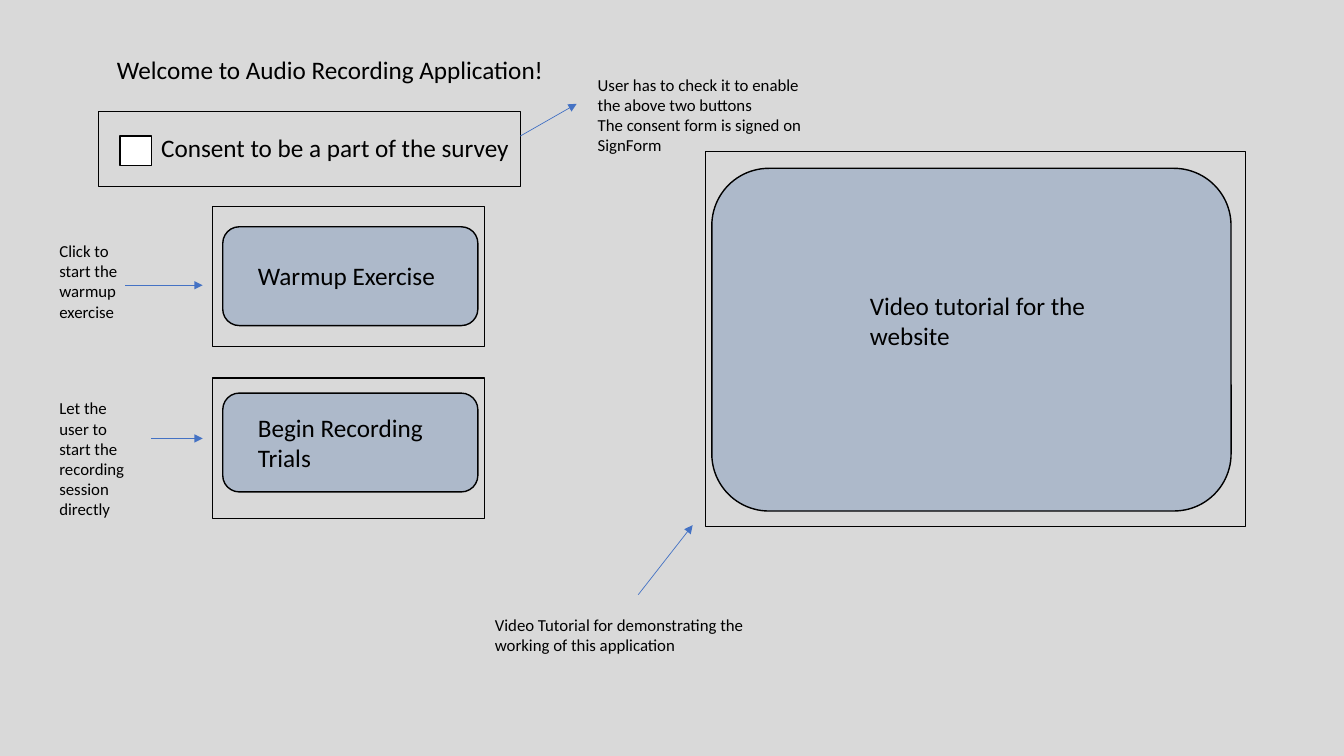
from typing import NamedTuple

from lxml.etree import SubElement
from pptx import Presentation
from pptx.dml.color import RGBColor
from pptx.enum.shapes import MSO_CONNECTOR as CONN, MSO_SHAPE as SHAPE
from pptx.enum.text import MSO_ANCHOR as ANCHOR, MSO_AUTO_SIZE as AUTO, PP_ALIGN as ALIGN
from pptx.oxml.ns import qn
from pptx.util import Inches, Pt

BACKGROUND = RGBColor(0xD9, 0xD9, 0xD9)
PANEL = RGBColor(0xAD, 0xB9, 0xCA)
WHITE = RGBColor(0xFF, 0xFF, 0xFF)
BLACK = RGBColor(0, 0, 0)
BLUE = RGBColor(0x44, 0x72, 0xC4)
FONT = "Calibri"
LABEL_SIZE, NOTE_SIZE = 18, 12


class Rect(NamedTuple):
    left: float
    top: float
    width: float
    height: float


class Box(NamedTuple):
    rect: Rect
    kind: SHAPE = SHAPE.RECTANGLE
    fill: RGBColor | None = None
    weight: float = 0.75


class Label(NamedTuple):
    rect: Rect
    lines: tuple[str, ...]
    size: int = LABEL_SIZE


class Arrow(NamedTuple):
    x1: float
    y1: float
    x2: float
    y2: float


def panel(rect: Rect) -> Box:
    return Box(rect, SHAPE.ROUNDED_RECTANGLE, PANEL, 1)


def draw_box(slide, box: Box) -> None:
    sp = slide.shapes.add_shape(box.kind, *map(Inches, box.rect))
    sp.shadow.inherit = False
    if box.fill is None:
        sp.fill.background()
    else:
        sp.fill.solid()
        sp.fill.fore_color.rgb = box.fill
    sp.line.color.rgb = BLACK
    sp.line.width = Pt(box.weight)


def write(sp, label: Label) -> None:
    tf = sp.text_frame
    tf.text = "\n".join(label.lines)
    tf.word_wrap = True
    tf.auto_size = AUTO.SHAPE_TO_FIT_TEXT
    tf.vertical_anchor = ANCHOR.TOP
    for p in tf.paragraphs:
        p.alignment = ALIGN.LEFT
        p.font.name = FONT
        p.font.size = Pt(label.size)
        p.font.color.rgb = BLACK


def draw_label(slide, label: Label) -> None:
    write(slide.shapes.add_textbox(*map(Inches, label.rect)), label)


def draw_title(slide, label: Label) -> None:
    sp = slide.shapes.title
    sp.left, sp.top, sp.width, sp.height = map(Inches, label.rect)
    write(sp, label)


def draw_arrow(slide, arrow: Arrow) -> None:
    cx = slide.shapes.add_connector(CONN.STRAIGHT, *map(Inches, arrow))
    cx.line.color.rgb = BLUE
    cx.line.width = Pt(0.5)
    SubElement(cx.line._get_or_add_ln(), qn("a:tailEnd"), type="triangle")
    SubElement(cx._element.spPr, qn("a:effectLst"))


TITLE = Label(Rect(1.06, 0.49, 5.09, 0.4), ("Welcome to Audio Recording Application!",))

BUTTON_TOPS = (2.25, 3.9)
FRAME_TOPS = (2.05, 3.75)

BOXES = [
    panel(Rect(7.06, 1.67, 5.15, 3.4)),
    *(panel(Rect(2.21, top, 2.53, 0.98)) for top in BUTTON_TOPS),
    Box(Rect(1.19, 1.35, 0.31, 0.29), fill=WHITE, weight=1),
    Box(Rect(0.98, 1.11, 4.18, 0.74)),
    *(Box(Rect(2.11, top, 2.7, 1.39)) for top in FRAME_TOPS),
    Box(Rect(7, 1.5, 5.35, 3.72)),
]

LABELS = [
    Label(Rect(8.53, 2.83, 2.6, 0.71), ("Video tutorial for the website",)),
    Label(Rect(2.46, 2.53, 2.1, 0.4), ("Warmup Exercise",)),
    Label(Rect(2.46, 4.04, 2.1, 0.71), ("Begin Recording Trials",)),
    Label(Rect(1.5, 1.26, 3.66, 0.4), ("Consent to be a part of the survey",)),
    Label(Rect(5.83, 0.69, 2.33, 1.11),
          ("User has to check it to enable the above two buttons",
           "The consent form is signed on SignForm"), NOTE_SIZE),
    Label(Rect(0.49, 2.34, 0.88, 0.91), ("Click to start the warmup exercise",), NOTE_SIZE),
    Label(Rect(0.49, 3.9, 0.88, 1.31),
          ("Let the user to start the recording session directly",), NOTE_SIZE),
    Label(Rect(4.81, 6.05, 3.17, 0.5),
          ("Video Tutorial for demonstrating the working of this application",), NOTE_SIZE),
]

ARROWS = [
    Arrow(5.16, 1.35, 5.72, 1.03),
    Arrow(1.24, 2.83, 2.01, 2.83),
    Arrow(1.5, 4.35, 2.01, 4.35),
    Arrow(6.33, 5.9, 6.87, 5.21),
]

prs = Presentation()
prs.slide_width, prs.slide_height = Inches(13.33), Inches(7.5)
s = prs.slides.add_slide(prs.slide_layouts.get_by_name("Title Only"))
s.background.fill.solid()
s.background.fill.fore_color.rgb = BACKGROUND

draw_title(s, TITLE)
for box in BOXES:
    draw_box(s, box)
for label in LABELS:
    draw_label(s, label)
for arrow in ARROWS:
    draw_arrow(s, arrow)

prs.save("out.pptx")
